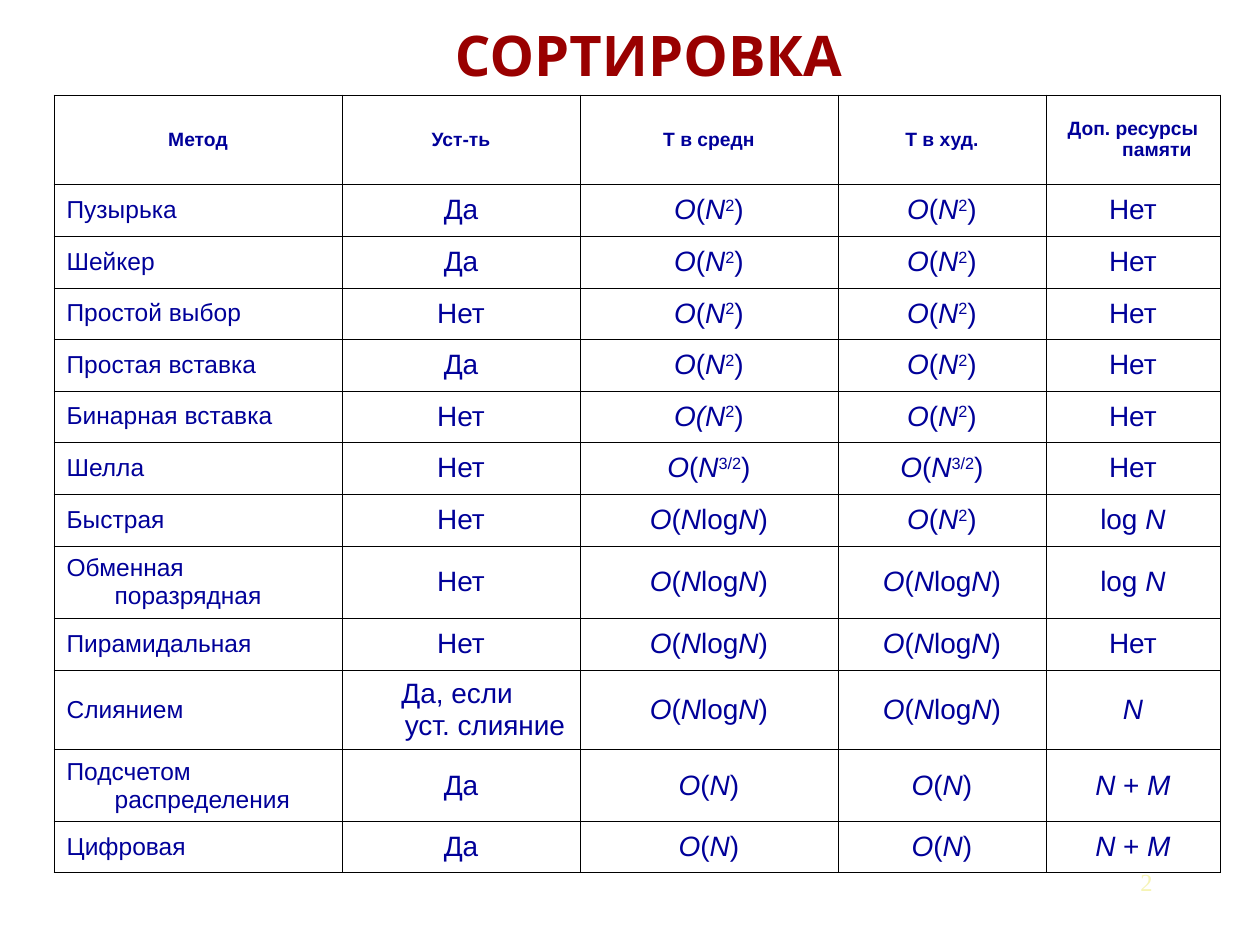
"""Builds a slide with a table that compares sorting methods."""
from lxml.etree import SubElement
from pptx import Presentation
from pptx.dml.color import RGBColor
from pptx.enum.text import MSO_ANCHOR, MSO_AUTO_SIZE, PP_ALIGN
from pptx.oxml import parse_xml
from pptx.oxml.ns import nsdecls, qn
from pptx.util import Pt

SCALE = 914400 / 126
NAVY = "000099"
SQUARE = "O|(|N|^2|)"
SHELL = "O|(|N|^3/2|)"
LOG = "O|(|N|log|N|)"
LINEAR = "O|(|N|)"

HEADERS = ["Метод", "Уст-ть", "T в средн", "T в худ.", "Доп. ресурсы памяти"]
METHODS = [
    ["Пузырька", "Да", SQUARE, SQUARE, "Нет"],
    ["Шейкер", "Да", SQUARE, SQUARE, "Нет"],
    ["Простой выбор", "Нет", SQUARE, SQUARE, "Нет"],
    ["Простая вставка", "Да", SQUARE, SQUARE, "Нет"],
    ["Бинарная вставка", "Нет", "O(N|^2|)", SQUARE, "Нет"],
    ["Шелла", "Нет", SHELL, SHELL, "Нет"],
    ["Быстрая", "Нет", LOG, SQUARE, "log |N"],
    ["Обменная поразрядная", "Нет", LOG, LOG, "log |N"],
    ["Пирамидальная", "Нет", LOG, LOG, "Нет"],
    ["Слиянием", "Да, если |\n|уст. слияние", LOG, LOG, "N"],
    ["Подсчетом распределения", "Да", LINEAR, LINEAR, "N |+ |M"],
    ["Цифровая", "Да", LINEAR, LINEAR, "N |+ |M"],
]
COLUMN_WIDTHS = [288, 238, 258, 208, 174]
ROW_HEIGHTS = [89, 52, 52, 51, 52, 51, 52, 52, 72, 52, 80, 72, 51]


def px(length):
    return round(length * SCALE)


def add_text(paragraph, text, size, color, font="Arial", bold=False):
    for part in text.split("|"):
        if part == "\n":
            paragraph.add_line_break()
            continue
        run = paragraph.add_run()
        run.text = part.lstrip("^")
        run.font.size = Pt(size)
        run.font.name = font
        run.font.bold = bold
        run.font.italic = part[0] in "ONM"
        run.font.color.rgb = RGBColor.from_string(color)
        if part.startswith("^"):
            run._r.get_or_add_rPr().set("baseline", "30000")


presentation = Presentation()
presentation.slide_width = px(1260)
presentation.slide_height = px(945)
slide = presentation.slides.add_slide(presentation.slide_layouts[6])

title = slide.shapes.add_textbox(px(389), 0, px(470), px(88)).text_frame
title.word_wrap = False
title.auto_size = MSO_AUTO_SIZE.SHAPE_TO_FIT_TEXT
title.vertical_anchor = MSO_ANCHOR.MIDDLE
title.margin_left, title.margin_top = px(62), px(21)
title.margin_right, title.margin_bottom = px(13), 0
title.paragraphs[0].alignment = PP_ALIGN.CENTER
add_text(title.paragraphs[0], "СОРТИРОВКА", 32, "990000", "Cabin", True)

rows = [HEADERS] + METHODS
table = slide.shapes.add_table(
    len(rows), len(HEADERS), px(54), px(95), px(sum(COLUMN_WIDTHS)), px(sum(ROW_HEIGHTS))
).table
table.first_row = False
table.horz_banding = False
for column, width in zip(table.columns, COLUMN_WIDTHS):
    column.width = px(width)
for row, height in zip(table.rows, ROW_HEIGHTS):
    row.height = px(height)

for row_index, texts in enumerate(rows):
    for column_index, text in enumerate(texts):
        cell = table.cell(row_index, column_index)
        cell.vertical_anchor = MSO_ANCHOR.MIDDLE
        cell.fill.background()
        properties = cell._tc.get_or_add_tcPr()
        for position, side in enumerate(["lnL", "lnR", "lnT", "lnB"]):
            border = parse_xml(f'<a:{side} {nsdecls("a")} w="5715"/>')
            fill = SubElement(border, qn("a:solidFill"))
            SubElement(fill, qn("a:srgbClr"), val="000000")
            properties.insert(position, border)
        is_header = row_index == 0
        is_name = column_index == 0 and not is_header
        paragraph = cell.text_frame.paragraphs[0]
        paragraph.alignment = PP_ALIGN.LEFT if is_name else PP_ALIGN.CENTER
        indent = paragraph._p.get_or_add_pPr()
        indent.set("marL", str(px(48)))
        indent.set("indent", str(px(-48)))
        size = 11 if is_header else 14 if is_name else 16
        add_text(paragraph, text, size, NAVY, bold=is_header)

number = slide.shapes.add_textbox(px(903), px(861), px(262), px(63)).text_frame
number.word_wrap = True
number.paragraphs[0].alignment = PP_ALIGN.RIGHT
add_text(number.paragraphs[0], "2", 14, "F6F4B4", "Times New Roman")

presentation.save("out.pptx")
